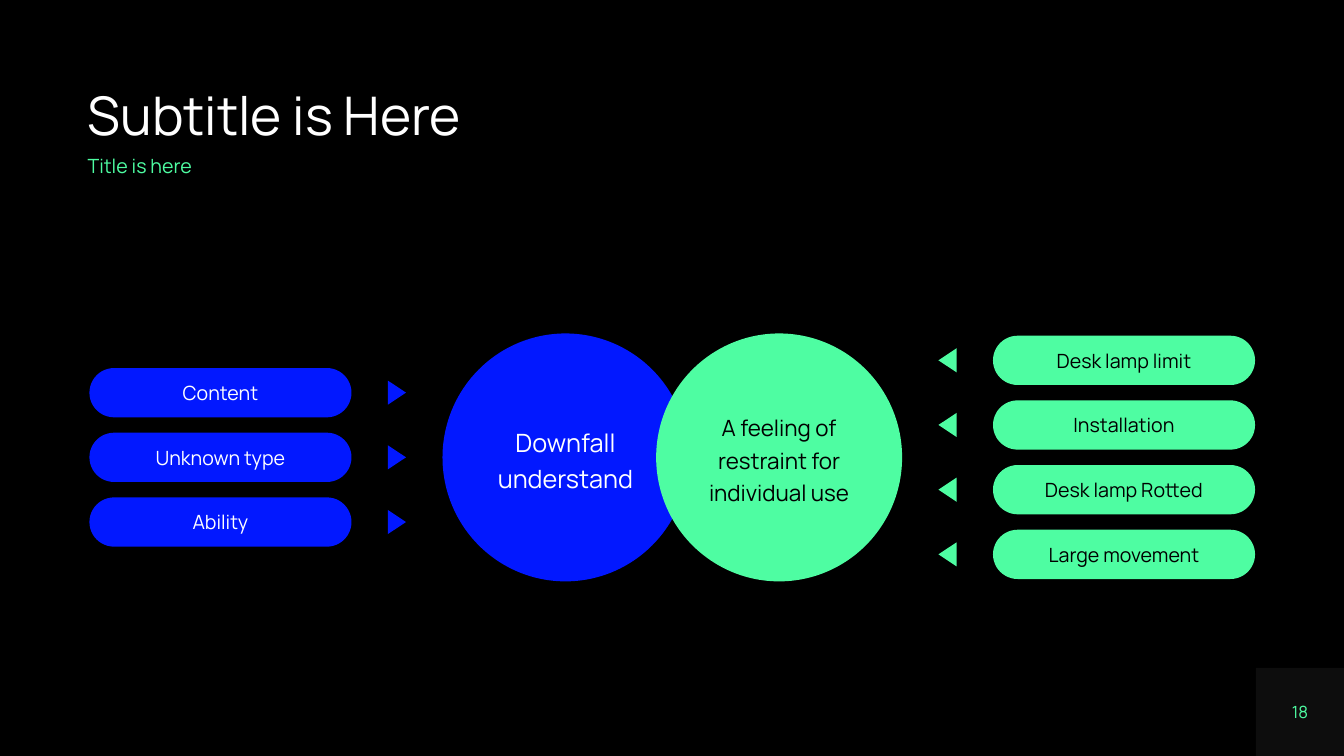
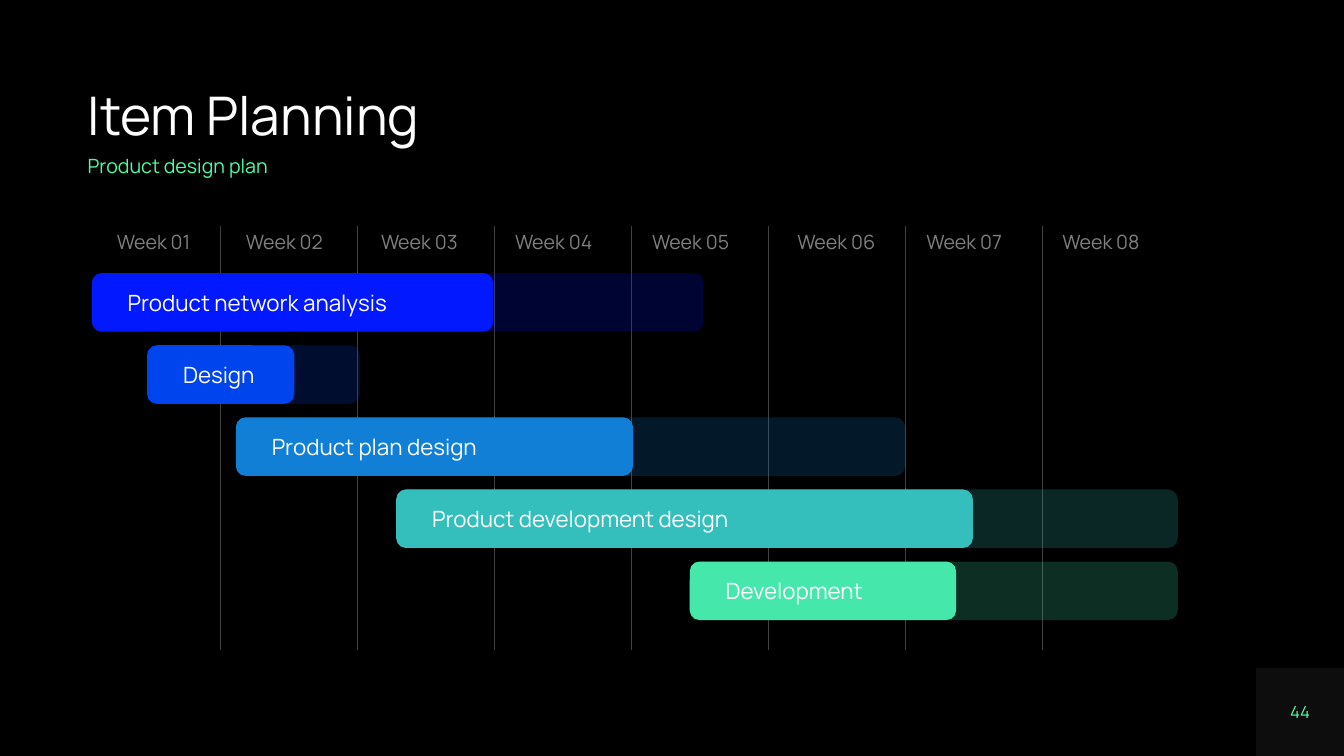
from lxml import etree
from pptx import Presentation
from pptx.dml.color import RGBColor
from pptx.enum import shapes, text
from pptx.oxml import ns
from pptx.util import Pt

COLORS = {
    "black": "000000", "white": "FFFFFF", "gray": "808080", "rule": "404040",
    "blue": "0218FF", "royal": "0044ED", "azure": "117FD6",
    "teal": "34BEBC", "mint": "45E7AB", "green": "4EFDA2",
}
FONT = "Manrope"
LEFT, CENTER = text.PP_ALIGN.LEFT, text.PP_ALIGN.CENTER
TOP, MIDDLE = text.MSO_ANCHOR.TOP, text.MSO_ANCHOR.MIDDLE
BOX, OVAL = shapes.MSO_SHAPE.RECTANGLE, shapes.MSO_SHAPE.OVAL
ROUNDED = shapes.MSO_SHAPE.ROUNDED_RECTANGLE


def rgb(color):
    return RGBColor.from_string(COLORS[color])


def apply_format(target, values):
    for name, value in values.items():
        setattr(target, name, value)


class Deck:
    def __init__(self):
        self.presentation = Presentation()
        apply_format(self.presentation, {"slide_width": Pt(960), "slide_height": Pt(540)})
        background = self.presentation.slide_master.background.fill
        background.solid()
        background.fore_color.rgb = rgb("black")
        self.slide = None

    def add_slide(self, title, subtitle, number):
        self.slide = self.presentation.slides.add_slide(self.presentation.slide_layouts[0])
        self.add_shape(BOX, 897, 477, 63, 63, "gray", opacity=10)
        heading, subheading = self.slide.placeholders
        self.place(heading, 62.6, 64, 834.5, 42)
        self.set_text(heading, title, 38, "white", spacing=0.9)
        self.place(subheading, 62.6, 111.6, 151.2, 15.2)
        self.set_text(subheading, subtitle, 14, "green", spacing=0.9)
        self.add_label(number, 920, 501.2, 17.2, 14.4, 12, "green",
                       align=CENTER, anchor=MIDDLE, wrap=False)

    def place(self, shape, left, top, width, height):
        apply_format(shape, {"left": Pt(left), "top": Pt(top),
                             "width": Pt(width), "height": Pt(height)})

    def set_text(self, shape, content, size, color, align=LEFT, anchor=TOP,
                 spacing=1, inset=0, wrap=True):
        frame = shape.text_frame
        frame.text = content
        apply_format(frame, {"margin_left": Pt(inset), "margin_right": 0, "margin_top": 0,
                             "margin_bottom": 0, "vertical_anchor": anchor,
                             "word_wrap": wrap, "auto_size": text.MSO_AUTO_SIZE.NONE})
        for paragraph in frame.paragraphs:
            apply_format(paragraph, {"alignment": align, "line_spacing": spacing,
                                     "space_before": Pt(0)})
            apply_format(paragraph.font, {"name": FONT, "size": Pt(size), "bold": False})
            paragraph.font.color.rgb = rgb(color)

    def add_label(self, content, left, top, width, height, size, color, **style):
        box = self.slide.shapes.add_textbox(Pt(left), Pt(top), Pt(width), Pt(height))
        self.set_text(box, content, size, color, **style)

    def paint(self, shape, color, opacity=100):
        shape.shadow.inherit = False
        shape.fill.solid()
        shape.fill.fore_color.rgb = rgb(color)
        shape.line.fill.background()
        if opacity < 100:
            fill = next(shape.element.iter(ns.qn("a:srgbClr")))
            etree.SubElement(fill, ns.qn("a:alpha"), val=str(opacity * 1000))

    def add_shape(self, kind, left, top, width, height, color, opacity=100):
        shape = self.slide.shapes.add_shape(kind, Pt(left), Pt(top), Pt(width), Pt(height))
        self.paint(shape, color, opacity)
        return shape

    def add_pointer(self, base, tip, middle, color):
        half = 8.65
        builder = self.slide.shapes.build_freeform(Pt(base), Pt(middle - half))
        builder.add_line_segments([(Pt(tip), Pt(middle)), (Pt(base), Pt(middle + half))])
        self.paint(builder.convert_to_shape(), color)

    def add_pills(self, names, left, base, tip, color, text_color):
        height, step, center = 35.2, 46.2, 326.7
        for index, name in enumerate(names):
            middle = center + (index - (len(names) - 1) / 2) * step
            pill = self.add_shape(ROUNDED, left, middle - height / 2, 187.2, height, color)
            pill.adjustments[0] = 0.5
            self.set_text(pill, name, 14, text_color, align=CENTER, anchor=MIDDLE)
            self.add_pointer(base, tip, middle, color)

    def add_circle(self, content, left, size, color, text_color):
        circle = self.add_shape(OVAL, left, 238.2, 175.7, 177.1, color)
        self.set_text(circle, content, size, text_color,
                      align=CENTER, anchor=MIDDLE, spacing=1.2)

    def add_week_rule(self, x):
        rule = self.slide.shapes.add_connector(
            shapes.MSO_CONNECTOR.STRAIGHT, Pt(x), Pt(464.4), Pt(x), Pt(161.3))
        rule.line.color.rgb = rgb("rule")
        rule.line.width = Pt(1)
        properties = rule.element.find(ns.qn("p:spPr"))
        etree.SubElement(properties, ns.qn("a:effectLst"))

    def add_task(self, row, name, start, done, end, color):
        top, height = 195.1 + row * 51.5, 41.8
        self.add_shape(ROUNDED, start, top, end - start, height, color, opacity=20)
        bar = self.add_shape(ROUNDED, start, top, done - start, height, color)
        self.set_text(bar, name, 16, "white", anchor=MIDDLE, inset=23.6)


def main():
    deck = Deck()

    deck.add_slide("Subtitle is Here", "Title is here", "18")
    deck.add_circle("Downfall\nunderstand", 316.1, 18, "blue", "white")
    deck.add_circle("A feeling of restraint for individual use", 468.7, 16, "green", "black")
    deck.add_pills(["Content", "Unknown type", "Ability"], 63.9, 277, 290, "blue", "white")
    deck.add_pills(["Desk lamp limit", "Installation", "Desk lamp Rotted", "Large movement"],
                   709.3, 683.3, 670.3, "green", "black")

    deck.add_slide("Item Planning", "Product design plan", "44")
    for index in range(7):
        deck.add_week_rule(157.7 + index * 97.8)
    week_lefts = [83.5, 175.7, 272.2, 367.9, 465.8, 569.5, 661.7, 758.9]
    for week, left in enumerate(week_lefts, 1):
        deck.add_label(f"Week {week:02}", left, 160.6, 62.6, 19.4, 14, "gray", spacing=1.2)
    tasks = [
        ("Product network analysis", 65.6, 352.4, 502.6, "blue"),
        ("Design", 105.1, 210.2, 257, "royal"),
        ("Product plan design", 168.5, 452.2, 646.6, "azure"),
        ("Product development design", 283, 694.9, 841.3, "teal"),
        ("Development", 492.7, 683, 841.3, "mint"),
    ]
    for row, task in enumerate(tasks):
        deck.add_task(row, *task)

    deck.presentation.save("out.pptx")


if __name__ == "__main__":
    main()
